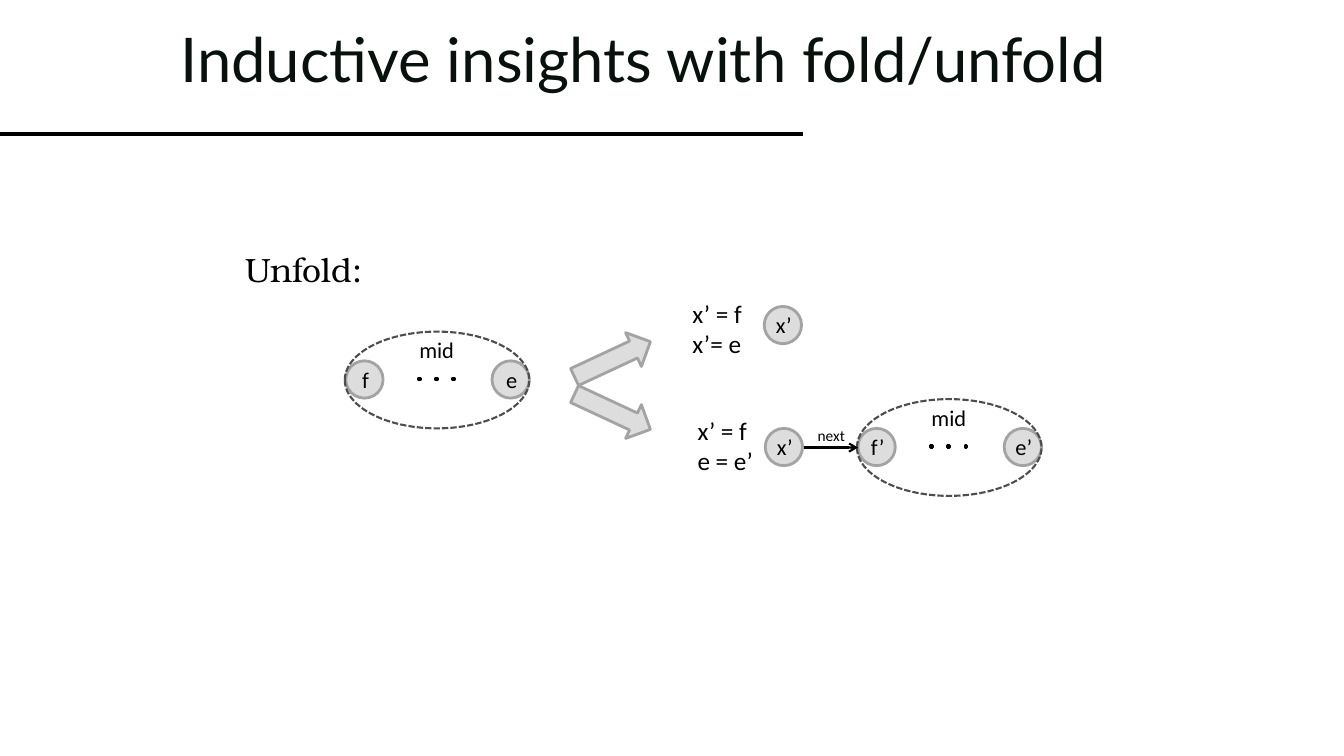
import pptx
import pptx.util
import pptx.dml.color
import pptx.enum.dml
import pptx.enum.shapes
import pptx.enum.text
import pptx.oxml
import pptx.oxml.ns

Inches, Pt = pptx.util.Inches, pptx.util.Pt
SHAPE = pptx.enum.shapes.MSO_SHAPE
ANCHOR = pptx.enum.text.MSO_ANCHOR
ALIGN = pptx.enum.text.PP_ALIGN
BLACK, NODE_FILL, NODE_EDGE, SEGMENT_EDGE = "000000", "DDDDDD", "A3A3A3", "4D4D4D"
NODE_SIZE = 0.37


def color(hex_value):
    return pptx.dml.color.RGBColor.from_string(hex_value)


def write(frame, lines, size, font="Calibri", hex_value=BLACK, align=ALIGN.LEFT):
    frame.text = "\n".join(lines)
    for paragraph in frame.paragraphs:
        paragraph.alignment = align
        paragraph.font.size = Pt(size)
        paragraph.font.name = font
        paragraph.font.color.rgb = color(hex_value)


def add_label(slide, left, top, width, height, lines, size, font="Calibri"):
    frame = slide.shapes.add_textbox(
        Inches(left), Inches(top), Inches(width), Inches(height)).text_frame
    frame.word_wrap = False
    write(frame, lines, size, font)


def add_title(slide, title):
    frame = slide.shapes.add_textbox(
        Inches(1.69), Inches(0), Inches(9.97), Inches(1.25)).text_frame
    frame.word_wrap = True
    frame.vertical_anchor = ANCHOR.MIDDLE
    write(frame, [title], 44, "Lato", "08110B")
    frame.paragraphs[0].line_spacing = 0.9


def add_outlined(slide, preset, left, top, width, height, fill, edge, weight=2):
    shape = slide.shapes.add_shape(
        preset, Inches(left), Inches(top), Inches(width), Inches(height))
    shape.shadow.inherit = False
    if fill:
        shape.fill.solid()
        shape.fill.fore_color.rgb = color(fill)
    else:
        shape.fill.background()
    shape.line.color.rgb = color(edge)
    shape.line.width = Pt(weight)
    return shape


def add_node(slide, left, top, name):
    node = add_outlined(slide, SHAPE.OVAL, left, top, NODE_SIZE, NODE_SIZE,
                        NODE_FILL, NODE_EDGE)
    frame = node.text_frame
    frame.margin_left, frame.margin_right = Inches(0.02), Inches(0)
    frame.vertical_anchor = ANCHOR.MIDDLE
    frame.word_wrap = True
    write(frame, [name], 16, align=ALIGN.CENTER)


def add_segment(slide, left, top, first, last):
    """Draw a list segment: two end nodes, dots between them, a dashed outline."""
    add_node(slide, left + 0.01, top + 0.29, first)
    add_node(slide, left + 1.46, top + 0.29, last)
    for i in range(3):
        add_outlined(slide, SHAPE.RECTANGLE, left + 0.73 + 0.17 * i, top + 0.46,
                     0.02, 0.02, BLACK, BLACK)
    add_label(slide, left + 0.64, top, 0.55, 0.37, ["mid"], 16)
    outline = add_outlined(slide, SHAPE.OVAL, left, top, 1.83, 0.96,
                           None, SEGMENT_EDGE, 1.5)
    outline.line.dash_style = pptx.enum.dml.MSO_LINE.SQUARE_DOT


def add_line(slide, left, right, y, weight, arrow=False):
    line = slide.shapes.add_connector(
        pptx.enum.shapes.MSO_CONNECTOR.STRAIGHT,
        Inches(left), Inches(y), Inches(right), Inches(y))
    line.line.color.rgb = color(BLACK)
    line.line.width = Pt(weight)
    namespace = pptx.oxml.ns.nsdecls("a")
    if arrow:
        line.line._ln.append(
            pptx.oxml.parse_xml(f'<a:tailEnd {namespace} type="arrow"/>'))
    line._element.spPr.append(pptx.oxml.parse_xml(f"<a:effectLst {namespace}/>"))


def add_case_arrow(slide, top, angle):
    arrow = add_outlined(slide, SHAPE.RIGHT_ARROW, 5.66, top, 0.83, 0.37,
                         NODE_FILL, NODE_EDGE)
    arrow.rotation = angle


def main():
    deck = pptx.Presentation()
    deck.slide_width, deck.slide_height = Inches(13.33), Inches(7.5)
    slide = deck.slides.add_slide(deck.slide_layouts[6])

    add_line(slide, 0, 7.96, 1.33, 2.25)
    add_title(slide, "Inductive insights with fold/unfold")

    add_segment(slide, 3.42, 3.29, "f", "e")
    add_segment(slide, 8.5, 3.96, "f’", "e’")

    add_node(slide, 7.59, 4.25, "x’")
    add_line(slide, 7.97, 8.51, 4.44, 1.5, arrow=True)
    add_label(slide, 8.01, 4.18, 0.48, 0.29, ["next"], 11)
    add_node(slide, 7.58, 3.04, "x’")

    add_label(slide, 6.77, 2.91, 0.76, 0.71, ["x’ = f", "x’= e"], 18)
    add_label(slide, 6.82, 4.07, 0.76, 0.71, ["x’ = f", "e = e’"], 18)
    add_case_arrow(slide, 3.9, 25)
    add_case_arrow(slide, 3.38, 335)
    add_label(slide, 2.33, 2.42, 1.4, 0.5, ["Unfold:"], 24, "TeX Gyre Bonum")

    deck.save("out.pptx")


if __name__ == "__main__":
    main()
